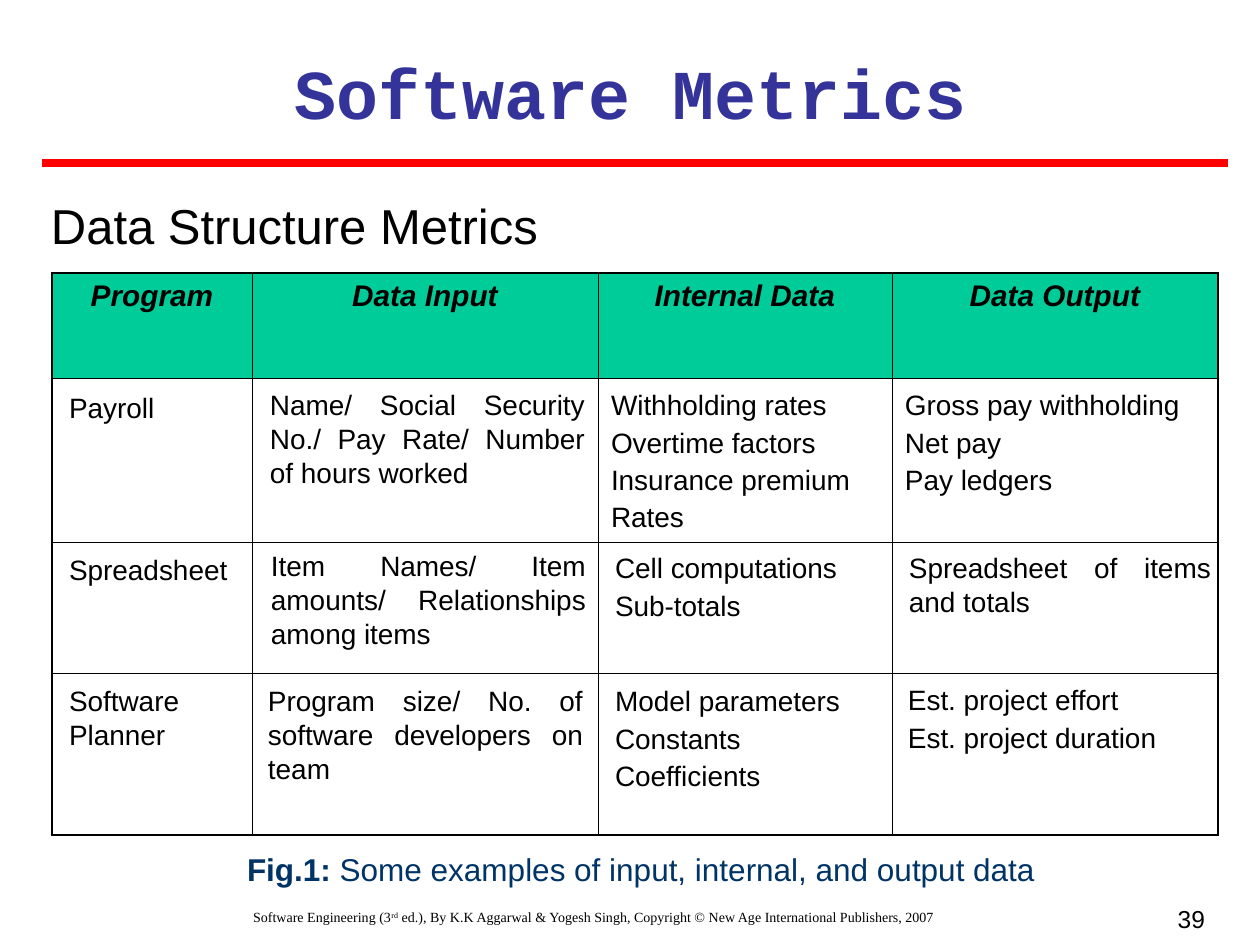
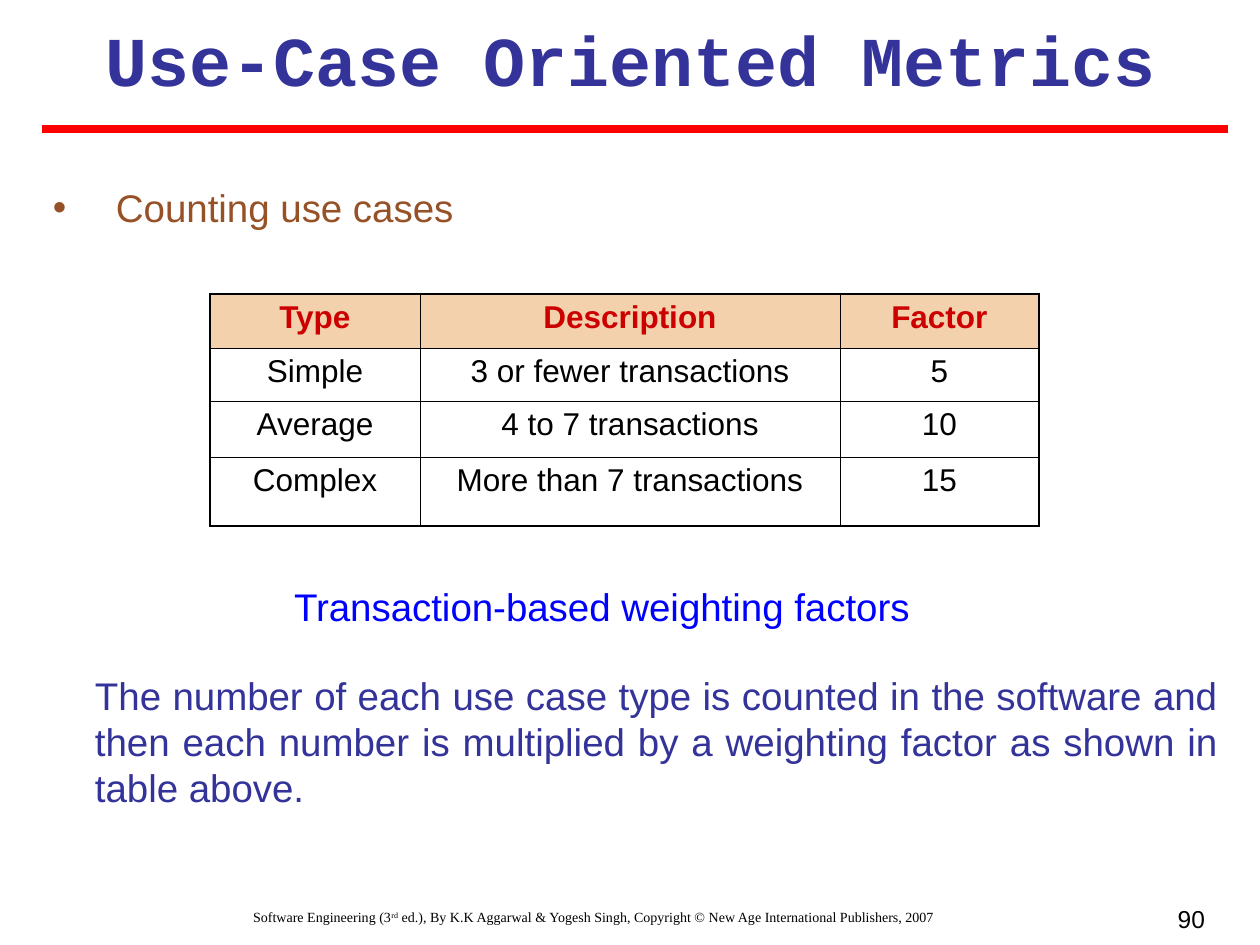
from lxml import etree
from pptx import Presentation
from pptx import util as u
from pptx.dml.color import RGBColor
from pptx.enum import shapes, text
from pptx.oxml.ns import qn

EMU_PER_PX = 914400 / 126
BLACK = RGBColor(0x00, 0x00, 0x00)
INDIGO = RGBColor(0x33, 0x33, 0x99)
RED = RGBColor(0xFF, 0x00, 0x00)
GREEN = RGBColor(0x00, 0xCC, 0x99)
NAVY = RGBColor(0x00, 0x33, 0x66)
BROWN = RGBColor(0x96, 0x51, 0x26)
PEACH = RGBColor(0xF2, 0xD1, 0xAC)
CRIMSON = RGBColor(0xCC, 0x00, 0x00)
BLUE = RGBColor(0x00, 0x00, 0xFF)

LEFT, CENTER = text.PP_ALIGN.LEFT, text.PP_ALIGN.CENTER
RIGHT, JUSTIFY = text.PP_ALIGN.RIGHT, text.PP_ALIGN.JUSTIFY
INSET = (13, 6)
INNER_LINE, OUTER_LINE = 0.45, 1.08

# Each entry: text lines taken up, offset in the cell, paragraphs
PROGRAM_ROWS = [
    [(1, (17, 13), ["Payroll"]),
     (3, (18, 10), ["Name/ Social Security No./ Pay Rate/ Number of hours worked"]),
     (4, (13, 10), ["Withholding rates", "Overtime factors", "Insurance premium", "Rates"]),
     (3, (13, 10), ["Gross pay withholding", "Net pay", "Pay ledgers"])],
    [(1, (17, 11), ["Spreadsheet"]),
     (3, (19, 7), ["Item Names/ Item amounts/ Relationships among items"]),
     (2, (17, 9), ["Cell computations", "Sub-totals"]),
     (2, (17, 9), ["Spreadsheet of items and totals"])],
    [(2, (17, 11), ["Software Planner"]),
     (3, (16, 11), ["Program size/ No. of software developers on team"]),
     (3, (17, 11), ["Model parameters", "Constants", "Coefficients"]),
     (2, (16, 10), ["Est. project effort", "Est. project duration"])],
]
ENTRY_WIDTHS = [168, 315, 270, 302]
ENTRY_ALIGNMENTS = [LEFT, JUSTIFY, JUSTIFY, JUSTIFY]

FACTOR_ROWS = [
    ["Type", "Description", "Factor"],
    ["Simple", "3 or fewer transactions", "5"],
    ["Average", "4 to 7 transactions", "10"],
    ["Complex", "More than 7 transactions", "15"],
]


def px(length):
    return u.Emu(round(length * EMU_PER_PX))


def style(paragraph, size, color=BLACK, align=LEFT, font="Arial", bold=False, italic=False):
    paragraph.alignment = align
    paragraph.space_before = u.Pt(0)
    paragraph.font.size = u.Pt(size)
    paragraph.font.name = font
    paragraph.font.color.rgb = color
    paragraph.font.bold = bold
    paragraph.font.italic = italic


def fill_box(shape, box, paragraphs, size, inset=(0, 0), gap=0, **look):
    """Place a text shape and write its paragraphs, gap points apart."""
    shape.left, shape.top, shape.width, shape.height = map(px, box)
    frame = shape.text_frame
    frame.word_wrap = True
    frame.auto_size = text.MSO_AUTO_SIZE.NONE
    frame.vertical_anchor = text.MSO_ANCHOR.TOP
    frame.margin_left = frame.margin_right = px(inset[0])
    frame.margin_top = frame.margin_bottom = px(inset[1])
    frame.text = "\n".join(paragraphs)
    for index, paragraph in enumerate(frame.paragraphs):
        style(paragraph, size, **look)
        if index:
            paragraph.space_before = u.Pt(gap)
    return frame.paragraphs[0]


def add_text(slide, box, paragraphs, size, **look):
    return fill_box(slide.shapes.add_textbox(0, 0, 0, 0), box, paragraphs, size, **look)


def set_bullet(paragraph, character=None, indent=0):
    properties = paragraph._p.get_or_add_pPr()
    properties.set("marL", str(px(indent)))
    properties.set("indent", str(-px(indent)))
    if character:
        etree.SubElement(properties, qn("a:buChar")).set("char", character)
    else:
        etree.SubElement(properties, qn("a:buNone"))


def add_heading(slide, title, top):
    fill_box(slide.shapes.title, (42, top, 1176, 97), [title], 40, inset=INSET,
             align=CENTER, color=INDIGO, font="Courier New", bold=True)
    rule_y = px(top + 119)
    rule = slide.shapes.add_connector(shapes.MSO_CONNECTOR.STRAIGHT,
                                      px(42), rule_y, px(1228), rule_y)
    rule.line.color.rgb = RED
    rule.line.width = u.Pt(4.5)
    etree.SubElement(rule._element.spPr, qn("a:effectLst"))


def add_footer(slide, page):
    paragraph = add_text(slide, (32, 903, 1124, 42), ["Software Engineering (3"], 8,
                         inset=INSET, align=CENTER, font="Times New Roman")
    ordinal = paragraph.add_run()
    ordinal.text = "rd"
    ordinal._r.get_or_add_rPr().set("baseline", "30000")
    paragraph.add_run().text = (" ed.), By K.K Aggarwal & Yogesh Singh, Copyright "
                                "© New Age International Publishers, 2007")
    add_text(slide, (924, 898, 294, 42), [page], 14, inset=INSET, align=RIGHT)


def set_borders(cell, widths):
    properties = cell._tc.get_or_add_tcPr()
    for side, width in zip("LRTB", widths):
        line = etree.SubElement(properties, qn("a:ln" + side))
        line.set("w", str(u.Pt(width)))
        fill = etree.SubElement(line, qn("a:solidFill"))
        etree.SubElement(fill, qn("a:srgbClr")).set("val", str(BLACK))


def add_grid(slide, left, top, widths, heights, header_fill):
    """Add a ruled table with a thicker frame and a filled header row."""
    frame = slide.shapes.add_table(len(heights), len(widths), px(left), px(top),
                                   px(sum(widths)), px(sum(heights)))
    table = frame.table
    for column, width in zip(table.columns, widths):
        column.width = px(width)
    for row, height in zip(table.rows, heights):
        row.height = px(height)
    last_row, last_column = len(heights) - 1, len(widths) - 1
    for r in range(len(heights)):
        for c in range(len(widths)):
            cell = table.cell(r, c)
            on_frame = (c == 0, c == last_column, r == 0, r == last_row)
            set_borders(cell, [OUTER_LINE if edge else INNER_LINE for edge in on_frame])
            if r == 0:
                cell.fill.solid()
                cell.fill.fore_color.rgb = header_fill
            else:
                cell.fill.background()
    return table


def write_cell(cell, content, size, **look):
    cell.text = content
    style(cell.text_frame.paragraphs[0], size, align=CENTER, **look)


def add_program_table(slide, left, top):
    widths, heights = [200, 346, 294, 326], [105, 164, 131, 162]
    table = add_grid(slide, left, top, widths, heights, GREEN)
    for c, label in enumerate(["Program", "Data Input", "Internal Data", "Data Output"]):
        write_cell(table.cell(0, c), label, 17, bold=True, italic=True)
    for r, row in enumerate(PROGRAM_ROWS, start=1):
        for c, (lines, (dx, dy), paragraphs) in enumerate(row):
            box = (left + sum(widths[:c]) + dx, top + sum(heights[:r]) + dy,
                   ENTRY_WIDTHS[c], 34 * lines + 3 * (len(paragraphs) - 1))
            add_text(slide, box, paragraphs, 16, gap=2, align=ENTRY_ALIGNMENTS[c])


def add_factor_table(slide, left, top):
    table = add_grid(slide, left, top, [210, 420, 199], [54, 53, 56, 69], PEACH)
    for r, row in enumerate(FACTOR_ROWS):
        for c, content in enumerate(row):
            write_cell(table.cell(r, c), content, 18, bold=r == 0,
                       color=BLACK if r else CRIMSON)


def build_data_structure_slide(slide):
    add_heading(slide, "Software Metrics", 44)
    subtitle = fill_box(slide.placeholders[1], (38, 189, 1061, 72),
                        ["Data Structure Metrics"], 28, inset=INSET)
    set_bullet(subtitle)
    add_program_table(slide, 52, 273)
    caption = add_text(slide, (158, 850, 966, 38), ["Fig.1:"], 18,
                       align=CENTER, color=NAVY, bold=True)
    rest = caption.add_run()
    rest.text = " Some examples of input, internal, and output data"
    rest.font.bold = False
    add_footer(slide, "39")


def build_use_case_slide(slide):
    add_heading(slide, "Use-Case Oriented Metrics", 10)
    topic = fill_box(slide.placeholders[1], (53, 189, 1166, 42),
                     ["Counting use cases"], 22, align=JUSTIFY, color=BROWN)
    topic.line_spacing = 0.9
    set_bullet(topic, "•", 63)
    add_factor_table(slide, 210, 294)
    caption = add_text(slide, (294, 588, 662, 42),
                       ["Transaction-based weighting factors"], 22, color=BLUE)
    caption.line_spacing = 0.9
    add_text(slide, (95, 672, 1123, 139),
             ["The number of each use case type is counted in the software and then each "
              "number is multiplied by a weighting factor as shown in table above."],
             22, align=JUSTIFY, color=INDIGO)
    add_footer(slide, "90")


def main():
    presentation = Presentation()
    presentation.slide_width, presentation.slide_height = px(1260), px(945)
    layout = presentation.slide_layouts[1]
    for build in (build_data_structure_slide, build_use_case_slide):
        build(presentation.slides.add_slide(layout))
    presentation.save("out.pptx")


if __name__ == "__main__":
    main()
